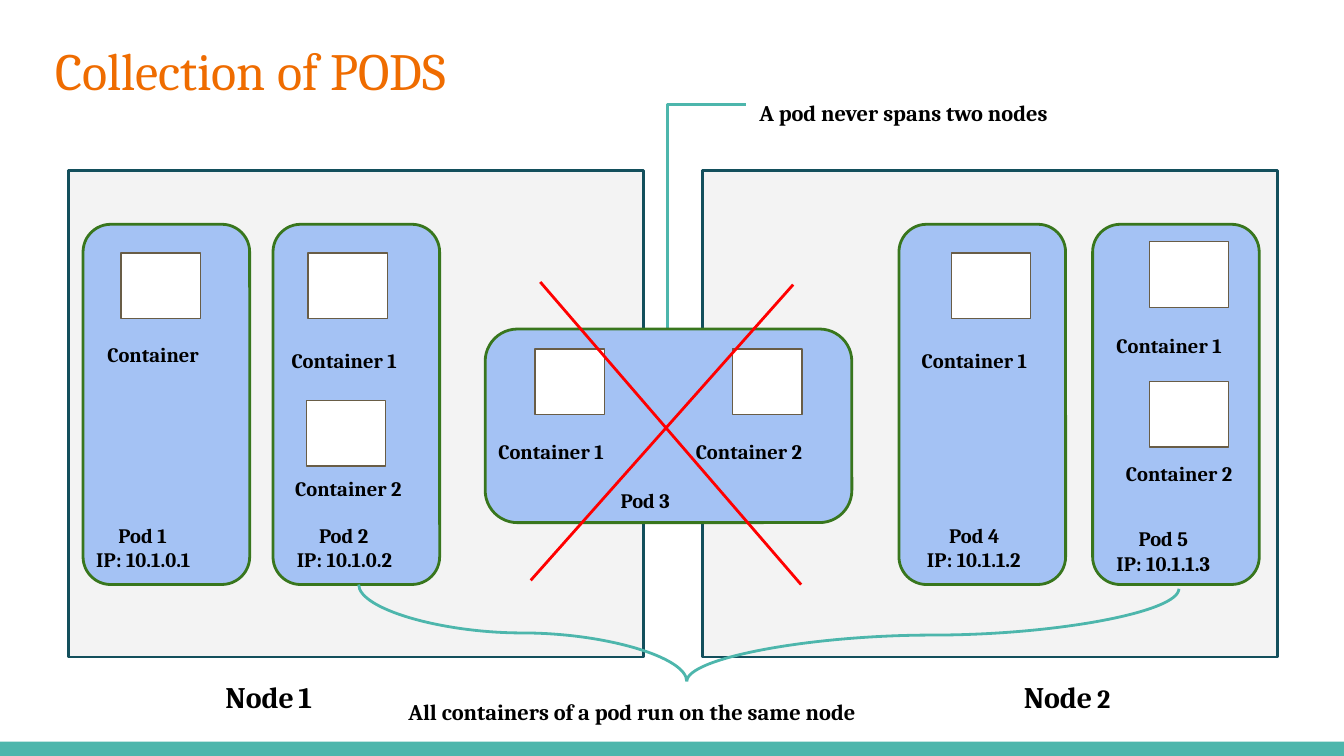
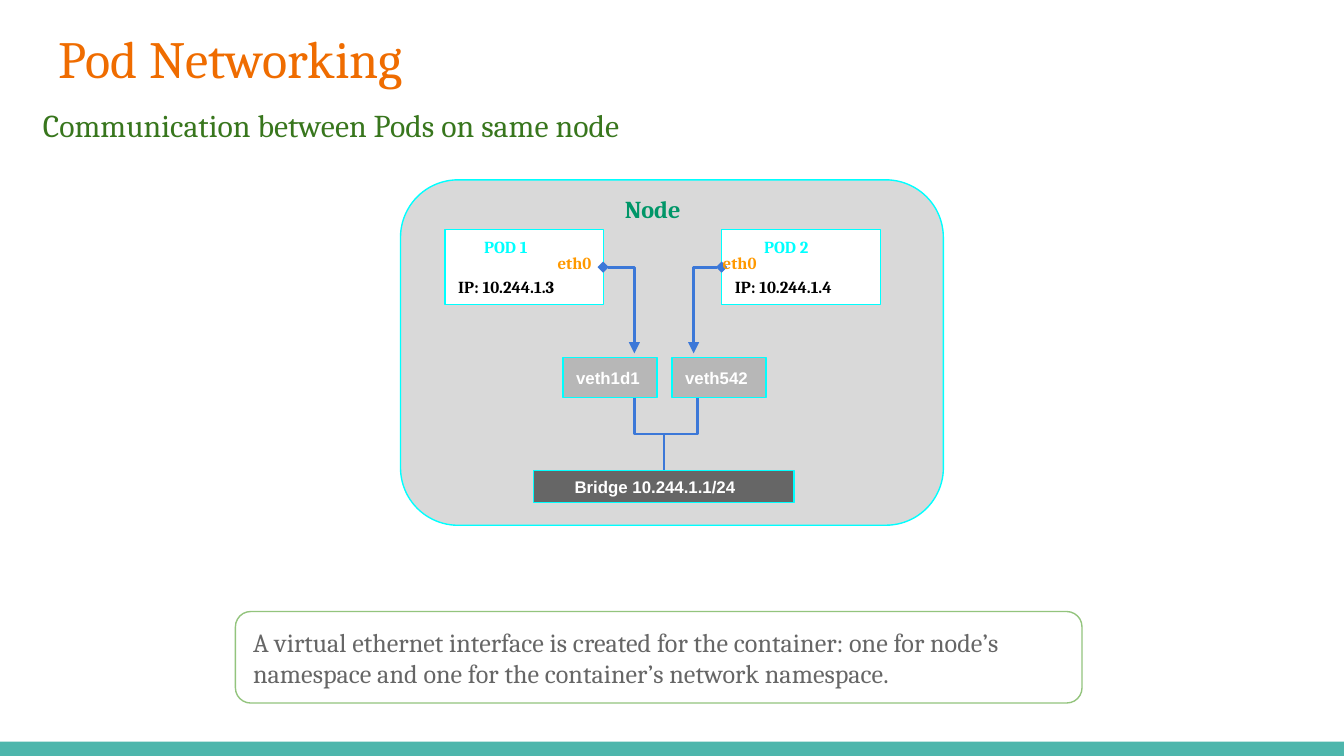
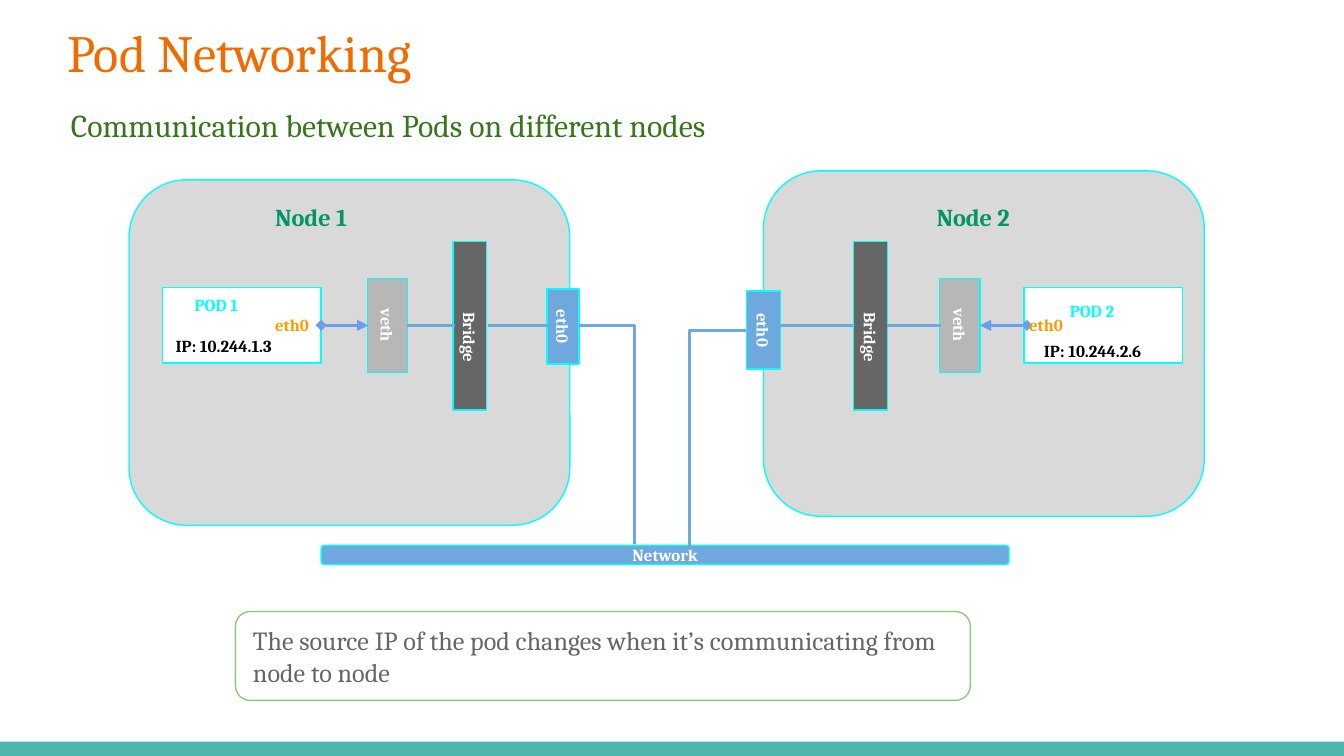
from dataclasses import dataclass
from typing import NamedTuple, Optional

from lxml import etree
from pptx import Presentation
from pptx import util as u
from pptx.dml.color import RGBColor
from pptx.enum import shapes, text
from pptx.oxml.ns import qn


# ---- Theme ----
@dataclass(frozen=True)
class Theme:
    serif: str = "Cambria"
    sans: str = "Arial"
    orange: str = "EF6C00"
    green: str = "38761D"
    teal: str = "4DB6AC"
    navy: str = "134F5C"
    brown: str = "695D46"
    pale: str = "F3F3F3"
    sky: str = "A4C2F4"
    cyan: str = "00FFFF"
    node_gray: str = "D9D9D9"
    veth_gray: str = "B7B7B7"
    dark_gray: str = "666666"
    jade: str = "009668"
    amber: str = "FF9900"
    leaf: str = "93C47D"
    network: str = "6FA8DC"
    wire: str = "3C78D8"
    arrow: str = "6D9EEB"
    red: str = "FF0000"
    black: str = "000000"
    white: str = "FFFFFF"
    title: float = 28
    subtitle: float = 17
    node_name: float = 16
    note: float = 14
    heading: float = 13
    caption: float = 12
    label: float = 11
    small: float = 9
    thick: float = 1.5
    thin: float = 0.75


T = Theme()
RECT = shapes.MSO_SHAPE.RECTANGLE
ROUND = shapes.MSO_SHAPE.ROUNDED_RECTANGLE
PROCESS = shapes.MSO_SHAPE.FLOWCHART_PROCESS
LEFT, CENTER = text.PP_ALIGN.LEFT, text.PP_ALIGN.CENTER
TOP, MIDDLE = text.MSO_ANCHOR.TOP, text.MSO_ANCHOR.MIDDLE
# Connection sites; a quarter turn moves the top to the right and the bottom to the left
SITE_LEFT, SITE_RIGHT = 1, 3
TURNED_RIGHT, TURNED_LEFT = 0, 2
INSET = 0.25


# ---- Building blocks, lengths in centimetres ----
class Box(NamedTuple):
    left: float
    top: float
    width: float
    height: float


class Point(NamedTuple):
    x: float
    y: float


@dataclass(frozen=True)
class Span:
    words: str
    size: float
    color: str = T.black
    bold: bool = True
    font: str = T.serif


@dataclass(frozen=True)
class Para:
    spans: tuple[Span, ...]
    indent: float = 0
    before: float = 0
    align: text.PP_ALIGN = LEFT
    spacing: float = 1.0


@dataclass(frozen=True)
class Look:
    fill: str
    line: str
    width: float = T.thin
    kind: shapes.MSO_SHAPE = RECT
    turn: float = 0


NODE = Look(T.pale, T.navy, T.thick)
POD = Look(T.sky, T.green, T.thick, ROUND)
CONTAINER = Look(T.white, T.brown, kind=PROCESS)
HOST = Look(T.node_gray, T.cyan, kind=ROUND)
POD_CARD = Look(T.white, T.cyan)
VETH = Look(T.veth_gray, T.cyan)
BRIDGE = Look(T.dark_gray, T.cyan)
NOTE = Look(T.white, T.leaf, kind=ROUND)
NETWORK = Look(T.network, T.cyan, kind=ROUND)
VETH_TURNED = Look(T.veth_gray, T.cyan, turn=90)
BRIDGE_TURNED = Look(T.dark_gray, T.cyan, turn=90)
ETH_TURNED = Look(T.network, T.cyan, turn=90)


def line_of(words: str, size: float, color: str = T.black, bold: bool = True,
            font: str = T.serif, **layout) -> Para:
    return Para((Span(words, size, color, bold, font),), **layout)


def cm(values) -> list[u.Cm]:
    return [u.Cm(value) for value in values]


def write(frame, paras: tuple[Para, ...], anchor=TOP) -> None:
    frame.word_wrap = True
    frame.auto_size = text.MSO_AUTO_SIZE.NONE
    frame.vertical_anchor = anchor
    frame.margin_left = frame.margin_right = u.Cm(INSET)
    frame.margin_top = frame.margin_bottom = u.Cm(INSET)
    for index, item in enumerate(paras):
        para = frame.paragraphs[0] if index == 0 else frame.add_paragraph()
        para.alignment = item.align
        para.line_spacing = item.spacing
        para.space_before = u.Pt(item.before)
        props = para._p.get_or_add_pPr()
        props.set("marL", str(u.Cm(item.indent)))
        props.set("indent", "0")
        etree.SubElement(props, qn("a:buNone"))
        for span in item.spans:
            run = para.add_run()
            run.text = span.words
            run.font.name = span.font
            run.font.size = u.Pt(span.size)
            run.font.bold = span.bold
            run.font.color.rgb = RGBColor.from_string(span.color)


def add_text(page, box: Box, *paras: Para, anchor=TOP) -> None:
    write(page.shapes.add_textbox(*cm(box)).text_frame, paras, anchor)


def add_box(page, box: Box, look: Look, *paras: Para, anchor=MIDDLE):
    shape = page.shapes.add_shape(look.kind, *cm(box))
    shape.shadow.inherit = False
    shape.rotation = look.turn
    shape.fill.solid()
    shape.fill.fore_color.rgb = RGBColor.from_string(look.fill)
    shape.line.color.rgb = RGBColor.from_string(look.line)
    shape.line.width = u.Pt(look.width)
    if paras:
        write(shape.text_frame, paras, anchor)
    return shape


def add_line(page, start: Point, end: Point, color: str, arrow: bool = False,
             kind=shapes.MSO_CONNECTOR.STRAIGHT):
    line = page.shapes.add_connector(kind, *cm(start + end))
    line.line.color.rgb = RGBColor.from_string(color)
    line.line.width = u.Pt(T.thick)
    props = line.element.spPr
    if arrow:
        stroke = props.find(qn("a:ln"))
        etree.SubElement(stroke, qn("a:headEnd"), type="diamond")
        etree.SubElement(stroke, qn("a:tailEnd"), type="triangle")
    etree.SubElement(props, qn("a:effectLst"))
    return line


def add_corner(page, start: Point, end: Point, color: str, arrow: bool = False) -> None:
    """Run across first, then turn once."""
    line = add_line(page, start, end, color, arrow, shapes.MSO_CONNECTOR.ELBOW)
    line.element.spPr.find(qn("a:prstGeom")).set("prst", "bentConnector2")


def add_drop(page, start: Point, end: Point, color: str, kind) -> None:
    """Run down, across at half height, and down again."""
    across, down = abs(end.x - start.x), end.y - start.y
    left = (start.x + end.x - down) / 2
    top = (start.y + end.y - across) / 2
    line = add_line(page, Point(left, top), Point(left + down, top + across), color, kind=kind)
    frame = line.element.spPr.find(qn("a:xfrm"))
    if end.x > start.x:
        frame.set("rot", str(270 * 60000))
        frame.set("flipH", "1")
    else:
        frame.set("rot", str(90 * 60000))


def add_link(page, start: Point, end: Point, color: str, begin: Optional[tuple],
             finish: tuple, arrow: bool = False) -> None:
    """Join two shapes; the ends are set again because shapes may be turned."""
    line = add_line(page, start, end, color, arrow)
    if begin:
        line.begin_connect(*begin)
    line.end_connect(*finish)
    line.begin_x, line.begin_y = cm(start)
    line.end_x, line.end_y = cm(end)


def add_page(deck, title: str, title_box: Box, subtitle: str = "",
             subtitle_box: Optional[Box] = None):
    page = deck.slides.add_slide(deck.slide_layouts[1 if subtitle else 5])
    parts = [(page.shapes.title, title_box, line_of(title, T.title, T.orange, False))]
    if subtitle:
        parts.append((page.placeholders[1], subtitle_box,
                      line_of(subtitle, T.subtitle, T.green, False)))
    for holder, box, para in parts:
        holder.left, holder.top, holder.width, holder.height = cm(box)
        write(holder.text_frame, (para,))
    return page


def add_band(deck, page) -> None:
    """Draw the bottom band once and hand it to the master."""
    band = add_box(page, Box(0, 14.02, 25.4, 0.28), Look(T.teal, T.teal))
    band.line.fill.background()
    deck.slide_master.shapes.element.append(band.element)


def add_note(page, box: Box, words: str) -> None:
    add_box(page, box, NOTE, line_of(words, T.note, T.dark_gray, False))


def add_heading(page, left: float, top: float, width: float, words: str) -> None:
    add_text(page, Box(left, top, width, 0.76), line_of(words, T.heading, T.jade))


def add_eth_label(page, left: float, top: float) -> None:
    add_text(page, Box(left, top, 1.27, 0.43), line_of("eth0", T.small, T.amber), anchor=MIDDLE)


def add_pod_card(page, left: float, top: float, name: str, address: str,
                 name_indent: float, address_indent: float = 0, anchor=MIDDLE):
    return add_box(page, Box(left, top, 3, 1.42), POD_CARD,
                   line_of(name, T.small, T.cyan, indent=name_indent),
                   line_of(address, T.small, indent=address_indent, before=10.7),
                   anchor=anchor)


# ---- Slides ----
def collection_page(deck) -> None:
    page = add_page(deck, "Collection of PODS", Box(0.79, 0.48, 23.75, 1.3))
    add_band(deck, page)
    add_corner(page, Point(14.1, 1.98), Point(12.62, 6.22), T.teal)

    # Nodes and pods
    for left in (1.3, 13.28):
        add_box(page, Box(left, 3.23, 10.87, 9.19), NODE)
    for left in (1.57, 5.16, 16.99, 20.65):
        add_box(page, Box(left, 4.24, 3.15, 6.81), POD)
    add_box(page, Box(9.17, 6.22, 6.93, 3.66), POD)

    # Containers: square left, top, width, then label left, top, words
    for left, top, width, label_left, label_top, words in (
        (2.29, 4.78, 1.5, 1.78, 6.22, "Container"),
        (5.82, 4.78, 1.5, 5.26, 6.32, "Container 1"),
        (5.79, 7.57, 1.5, 5.33, 8.74, "Container 2"),
        (10.11, 6.6, 1.32, 9.17, 8.05, "Container 1"),
        (13.84, 6.6, 1.32, 12.9, 8.05, "Container 2"),
        (17.98, 4.78, 1.5, 17.17, 6.32, "Container 1"),
        (21.72, 4.57, 1.5, 20.85, 6.05, "Container 1"),
        (21.72, 7.21, 1.5, 21.03, 8.46, "Container 2"),
    ):
        add_box(page, Box(left, top, width, 1.24), CONTAINER)
        add_text(page, Box(label_left, label_top, 2.9, 0.91), line_of(words, T.label))

    # Pod names
    for left, top, name, address in (
        (1.57, 9.63, "Pod 1", "IP: 10.1.0.1"),
        (5.36, 9.63, "Pod 2", "IP: 10.1.0.2"),
        (17.27, 9.63, "Pod 4", "IP: 10.1.1.2"),
        (20.85, 9.7, "Pod 5", "IP: 10.1.1.3"),
    ):
        add_text(page, Box(left, top, 2.84, 1.42),
                 line_of(name, T.label, indent=0.42), line_of(address, T.label))
    add_text(page, Box(11.48, 8.97, 2.64, 0.91), line_of("Pod 3", T.label))

    # Node names
    for left, number, gap_size, number_size in (
        (4.01, "1", T.label, T.node_name),
        (19.1, "2", T.caption, T.note),
    ):
        spans = (Span("Node", T.node_name), Span(" ", gap_size), Span(number, number_size))
        add_text(page, Box(left, 12.57, 2.64, 0.91), Para(spans))

    # Cross over the forbidden pod
    add_line(page, Point(10.03, 10.97), Point(14.99, 5.38), T.red)
    add_line(page, Point(10.21, 5.33), Point(15.14, 11.05), T.red)

    # Captions and the curved brace
    add_text(page, Box(14.1, 1.55, 6.93, 0.81),
             line_of("A pod never spans two nodes", T.caption, spacing=1.15))
    add_text(page, Box(7.47, 12.88, 11.05, 0.91),
             line_of("All containers of a pod run on the same node", T.caption, spacing=1.15))
    for start in (Point(6.78, 11.05), Point(22.28, 11.13)):
        add_drop(page, start, Point(12.98, 12.88), T.teal, shapes.MSO_CONNECTOR.CURVE)


def same_node_page(deck) -> None:
    page = add_page(deck, "Pod Networking", Box(0.86, 0.25, 23.67, 1.42),
                    "Communication between Pods on same node", Box(0.56, 1.75, 23.39, 12.24))
    add_box(page, Box(7.57, 3.4, 10.26, 6.53), HOST)
    add_heading(page, 11.56, 3.43, 1.78, "Node")

    # Pods, virtual interfaces and bridge
    add_pod_card(page, 8.41, 4.34, "POD 1", "IP: 10.244.1.3", 0.49)
    add_pod_card(page, 13.64, 4.34, "POD 2", "IP: 10.244.1.4", 0.55)
    for left, name in ((10.64, "veth1d1"), (12.7, "veth542")):
        add_box(page, Box(left, 6.76, 1.78, 0.76), VETH,
                line_of(name, T.small, T.white, font=T.sans))
    add_box(page, Box(10.08, 8.89, 4.93, 0.61), BRIDGE,
            line_of("Bridge 10.244.1.1/24", T.small, T.white, font=T.sans, indent=0.53))

    # Wiring
    for pod_side, veth_x, drop_x in ((11.4, 11.99, 11.99), (13.64, 13.11, 13.18)):
        add_corner(page, Point(pod_side, 5.05), Point(veth_x, 6.68), T.wire, arrow=True)
        add_drop(page, Point(drop_x, 7.52), Point(12.55, 8.89), T.wire,
                 shapes.MSO_CONNECTOR.ELBOW)
    for left in (10.29, 13.41):
        add_eth_label(page, left, 4.75)

    add_note(page, Box(4.45, 11.56, 16, 1.73),
             "A virtual ethernet interface is created for the container: one for node’s "
             "namespace and one for the container’s network namespace.")


def different_nodes_page(deck) -> None:
    page = add_page(deck, "Pod Networking", Box(1.02, 0.13, 23.67, 1.42),
                    "Communication between Pods on different nodes",
                    Box(1.09, 1.75, 23.24, 1.22))
    wire_y = 6.15

    # Nodes with their names
    for left, top, name_left, name in ((2.44, 3.4, 4.95, "Node 1"), (14.43, 3.23, 17.45, "Node 2")):
        add_box(page, Box(left, top, 8.33, 6.53), HOST)
        add_heading(page, name_left, 3.58, 2.49, name)

    # Pods, then the turned interfaces and bridges of both nodes
    pods = (add_pod_card(page, 3.07, 5.44, "POD 1", "IP: 10.244.1.3", 0.36),
            add_pod_card(page, 19.35, 5.44, "POD 2", "IP: 10.244.2.6", 0.62, 0.13, TOP))
    veth_text = line_of("veth", T.small, T.white, align=CENTER)
    bridge_text = line_of("Bridge", T.small, T.white, align=CENTER, indent=0.43)
    eth_text = line_of("eth0", T.small, T.white, align=CENTER)
    veths = [add_box(page, Box(left, 5.77, 1.78, 0.76), VETH_TURNED, veth_text)
             for left in (6.43, 17.25)]
    bridges = [add_box(page, Box(left, 5.84, 3.18, 0.64), BRIDGE_TURNED, bridge_text)
               for left in (7.29, 14.86)]
    eths = [add_box(page, box, ETH_TURNED, eth_text)
            for box in (Box(9.93, 5.87, 1.42, 0.61), Box(13.69, 5.92, 1.47, 0.64))]
    add_box(page, Box(6.07, 10.31, 13, 0.36), NETWORK,
            line_of("Network", T.small, T.white, align=CENTER))

    # Wiring
    add_corner(page, Point(10.95, wire_y), Point(11.99, 10.29), T.network)
    add_corner(page, Point(14.1, 6.25), Point(13.03, 10.39), T.network)
    for start, end, begin, finish in (
        (7.7, 8.59, (veths[0], TURNED_RIGHT), (bridges[0], TURNED_LEFT)),
        (9.22, 10.36, (bridges[0], TURNED_RIGHT), (eths[0], TURNED_LEFT)),
        (14.45, 16.13, None, (bridges[1], TURNED_LEFT)),
        (16.76, 17.78, (bridges[1], TURNED_RIGHT), (veths[1], TURNED_LEFT)),
    ):
        add_link(page, Point(start, wire_y), Point(end, wire_y), T.network, begin, finish)
    for start, end, begin, finish in (
        (6.07, 6.96, (pods[0], SITE_RIGHT), (veths[0], TURNED_LEFT)),
        (19.41, 18.52, (pods[1], SITE_LEFT), (veths[1], TURNED_RIGHT)),
    ):
        add_link(page, Point(start, wire_y), Point(end, wire_y), T.arrow, begin, finish, arrow=True)
    for left in (4.95, 19.2):
        add_eth_label(page, left, 5.92)

    add_note(page, Box(4.45, 11.56, 13.89, 1.68),
             "The source IP of the pod changes when it’s communicating from node to node")


def main() -> None:
    deck = Presentation()
    deck.slide_width, deck.slide_height = cm((25.4, 14.29))
    collection_page(deck)
    same_node_page(deck)
    different_nodes_page(deck)
    deck.save("out.pptx")


if __name__ == "__main__":
    main()
